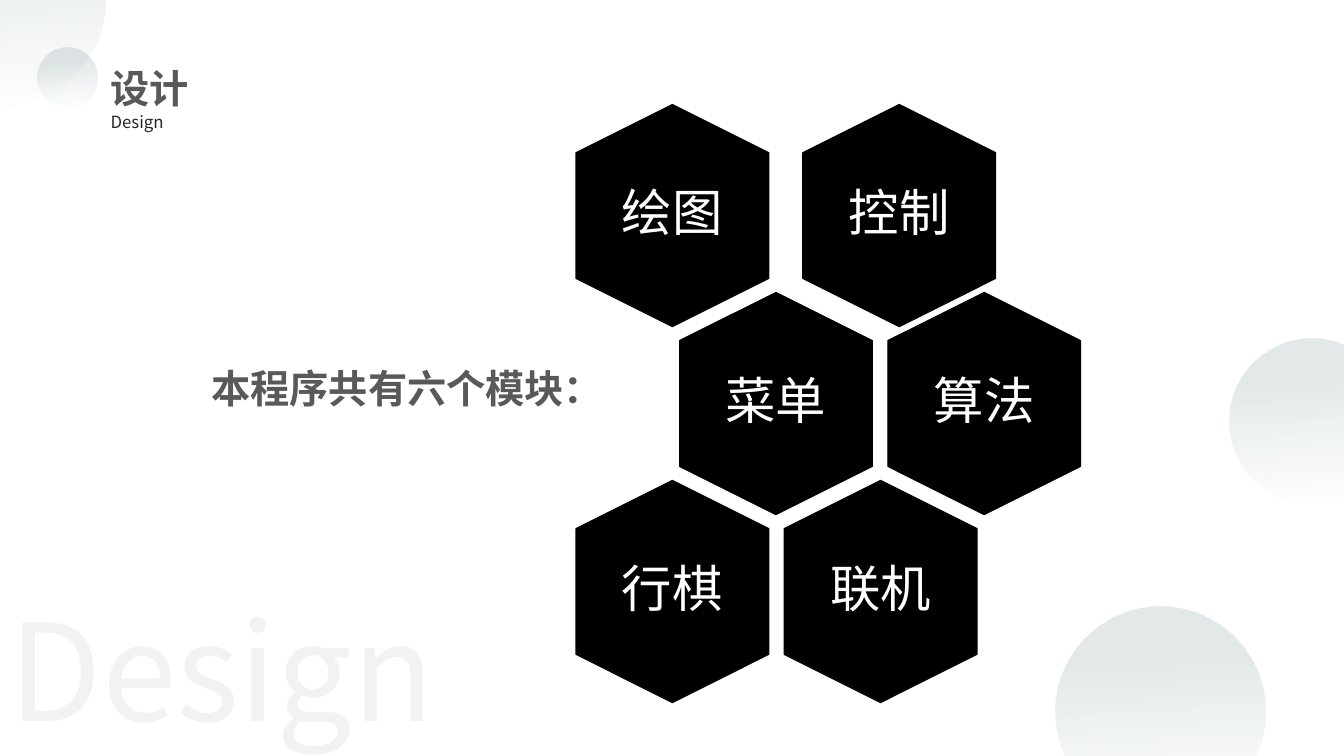
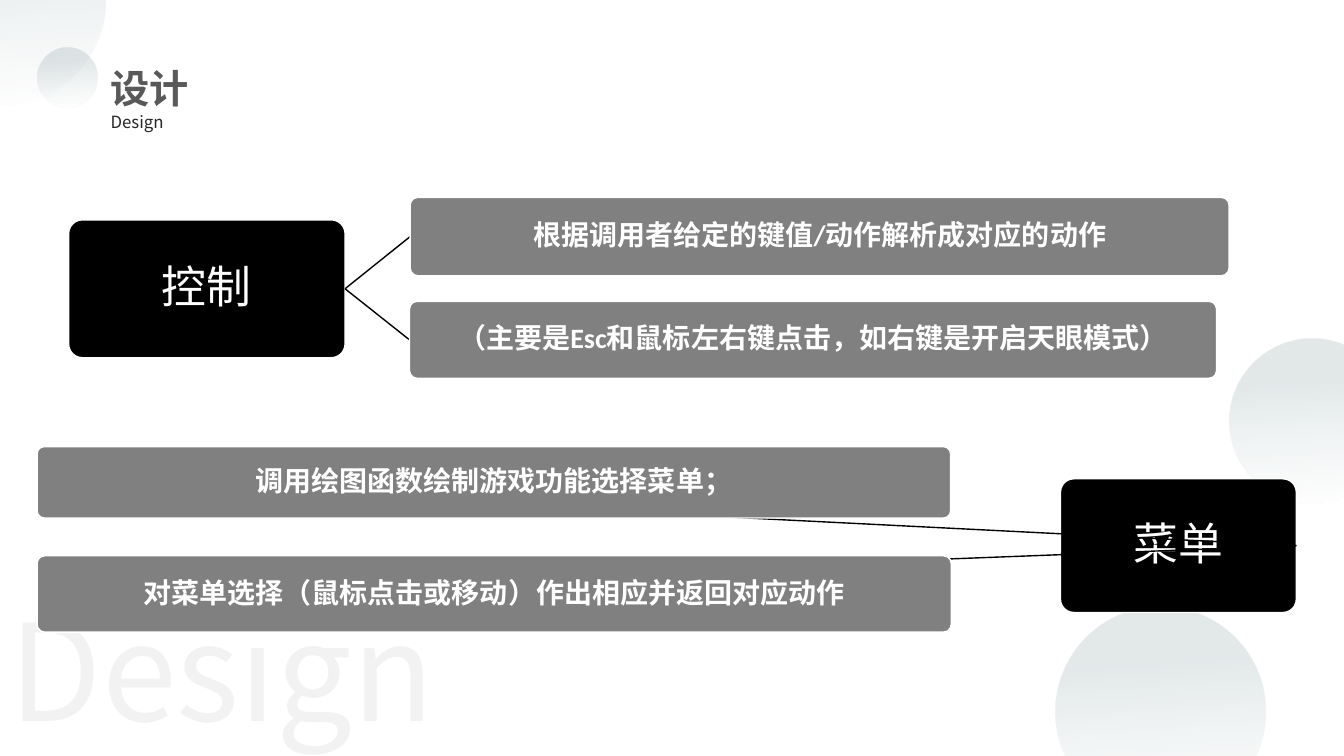
from dataclasses import dataclass

from lxml.etree import SubElement
from pptx import Presentation
from pptx.dml.color import RGBColor
from pptx.enum.shapes import MSO_CONNECTOR as Connector, MSO_SHAPE as Preset
from pptx.enum.text import MSO_ANCHOR as Anchor, MSO_AUTO_SIZE as AutoSize, PP_ALIGN as Align
from pptx.oxml.ns import qn
from pptx.util import Pt


@dataclass(frozen=True)
class Theme:
    # Colours
    white: str = "FFFFFF"
    black: str = "000000"
    bar: str = "808080"
    heading: str = "595959"
    caption: str = "262626"
    ghost: str = "F2F2F2"
    bubble: str = "3D636A"
    # Fonts and type sizes
    latin: str = "Calibri"
    han: str = "Noto Sans CJK SC"
    title_size: int = 28
    caption_size: int = 12
    ghost_size: int = 96
    hexagon_size: int = 36
    module_size: int = 32
    bar_size: int = 20


def color(value):
    return RGBColor.from_string(value)


class DesignDeck:
    BUBBLES = [(-75, -75, 150), (26.5, 34, 43), (754, 433.5, 150), (878.5, 242, 117.5)]

    def __init__(self, theme):
        self.theme = theme
        self.deck = Presentation()
        self.deck.slide_width, self.deck.slide_height = Pt(960), Pt(540)
        self.page = None

    def new_page(self):
        theme = self.theme
        self.page = self.deck.slides.add_slide(self.deck.slide_layouts[6])
        for bubble in self.BUBBLES:
            self.bubble(*bubble)
        self.label("设计", (72, 42.5, 230, 41), theme.title_size, theme.heading, theme.han, bold=True)
        self.label("Design", (72, 76, 55, 22), theme.caption_size, theme.caption, theme.han, wrap=False)
        self.label("Design", (0, 416, 335, 124), theme.ghost_size, theme.ghost, theme.han, wrap=False)

    def add_words(self, frame, text, size, ink, font, bold=False):
        para = frame.paragraphs[0]
        span = para.add_run()
        span.text = text
        span.font.name, span.font.size, span.font.bold = font, Pt(size), bold
        span.font.color.rgb = color(ink)
        SubElement(span.font._element, qn("a:ea"), typeface=self.theme.han)
        return para

    def add_centred_words(self, shape, text, size, bold=False):
        frame = shape.text_frame
        frame.word_wrap = True
        frame.vertical_anchor = Anchor.MIDDLE
        frame.margin_left = frame.margin_right = frame.margin_top = frame.margin_bottom = 0
        para = self.add_words(frame, text, size, self.theme.white, self.theme.latin, bold)
        para.alignment = Align.CENTER
        para.line_spacing = 0.9

    def label(self, text, place, size, ink, font, bold=False, wrap=True):
        box = self.page.shapes.add_textbox(*map(Pt, place))
        box.text_frame.word_wrap = wrap
        box.text_frame.auto_size = AutoSize.SHAPE_TO_FIT_TEXT
        self.add_words(box.text_frame, text, size, ink, font, bold)

    def shape(self, preset, place):
        shape = self.page.shapes.add_shape(preset, *map(Pt, place))
        shape.shadow.inherit = False
        return shape

    def solid(self, preset, place, fill, line):
        shape = self.shape(preset, place)
        shape.fill.solid()
        shape.fill.fore_color.rgb = color(fill)
        shape.line.color.rgb = color(line)
        shape.line.width = Pt(1)
        return shape

    def bubble(self, left, top, size):
        circle = self.shape(Preset.OVAL, (left, top, size, size))
        circle.line.fill.background()
        circle.fill.gradient()
        circle.fill.gradient_angle = 274
        looks = [(0.28, self.theme.bubble, 14), (1, self.theme.white, 11)]
        for stop, (position, tint, opacity) in zip(circle.fill.gradient_stops, looks):
            stop.position = position
            stop.color.rgb = color(tint)
            tint_element = stop._gs.find(qn("a:srgbClr"))
            SubElement(tint_element, qn("a:alpha"), val=str(opacity * 1000))

    def hexagon(self, text, center_x, center_y):
        def around(width, height):
            return center_x - width / 2, center_y - height / 2, width, height

        theme = self.theme
        cell = self.solid(Preset.HEXAGON, around(158.5, 137.5), theme.black, theme.black)
        cell.rotation = 90
        # The text stays upright in a box of its own
        box = self.page.shapes.add_textbox(*map(Pt, around(95, 109)))
        self.add_centred_words(box, text, theme.hexagon_size)

    def card(self, text, place, fill, size, bold=False):
        card = self.solid(Preset.ROUNDED_RECTANGLE, place, fill, self.theme.white)
        card.adjustments[0] = 0.1
        self.add_centred_words(card, text, size, bold)
        return card

    def link(self, module, bar):
        line = self.page.shapes.add_connector(Connector.STRAIGHT, 0, 0, 0, 0)
        line.begin_connect(module, 3)
        line.end_connect(bar, 1)
        line.line.color.rgb = color(self.theme.black)
        line.line.width = Pt(1)
        SubElement(line._element.spPr, qn("a:effectLst"))
        # Lines run behind the bars
        bar._element.addprevious(line._element)

    def branch(self, name, place, bars):
        theme = self.theme
        module = self.card(name, place, theme.black, theme.module_size)
        for text, bar_place in bars:
            self.link(module, self.card(text, bar_place, theme.bar, theme.bar_size, bold=True))


def modules_page(design):
    theme = design.theme
    design.new_page()
    design.label("本程序共有六个模块：", (144, 257, 400, 41), theme.title_size,
                 theme.heading, theme.latin, bold=True)
    # Honeycomb rows: names, first centre, distance between centres
    rows = [(("绘图", "控制"), 480.25, 162),
            (("菜单", "算法"), 554.25, 148.75),
            (("行棋", "联机"), 480.25, 148.75)]
    for row, (names, start, pitch) in enumerate(rows):
        for column, name in enumerate(names):
            design.hexagon(name, start + column * pitch, 154 + row * 134.25)


def branches_page(design):
    design.new_page()
    design.branch("控制", (49, 157, 197.5, 98.5), [
        ("根据调用者给定的键值/动作解析成对应的动作", (293, 141, 585, 56)),
        ("（主要是Esc和鼠标左右键点击，如右键是开启天眼模式）", (292.5, 215.25, 576.5, 55)),
    ])
    design.branch("菜单", (757.5, 342, 168.5, 95.5), [
        ("调用绘图函数绘制游戏功能选择菜单；", (26.5, 319, 652.5, 51)),
        ("对菜单选择（鼠标点击或移动）作出相应并返回对应动作", (26.5, 397, 653, 54.5)),
    ])


def main():
    design = DesignDeck(Theme())
    modules_page(design)
    branches_page(design)
    design.deck.save("out.pptx")


if __name__ == "__main__":
    main()
